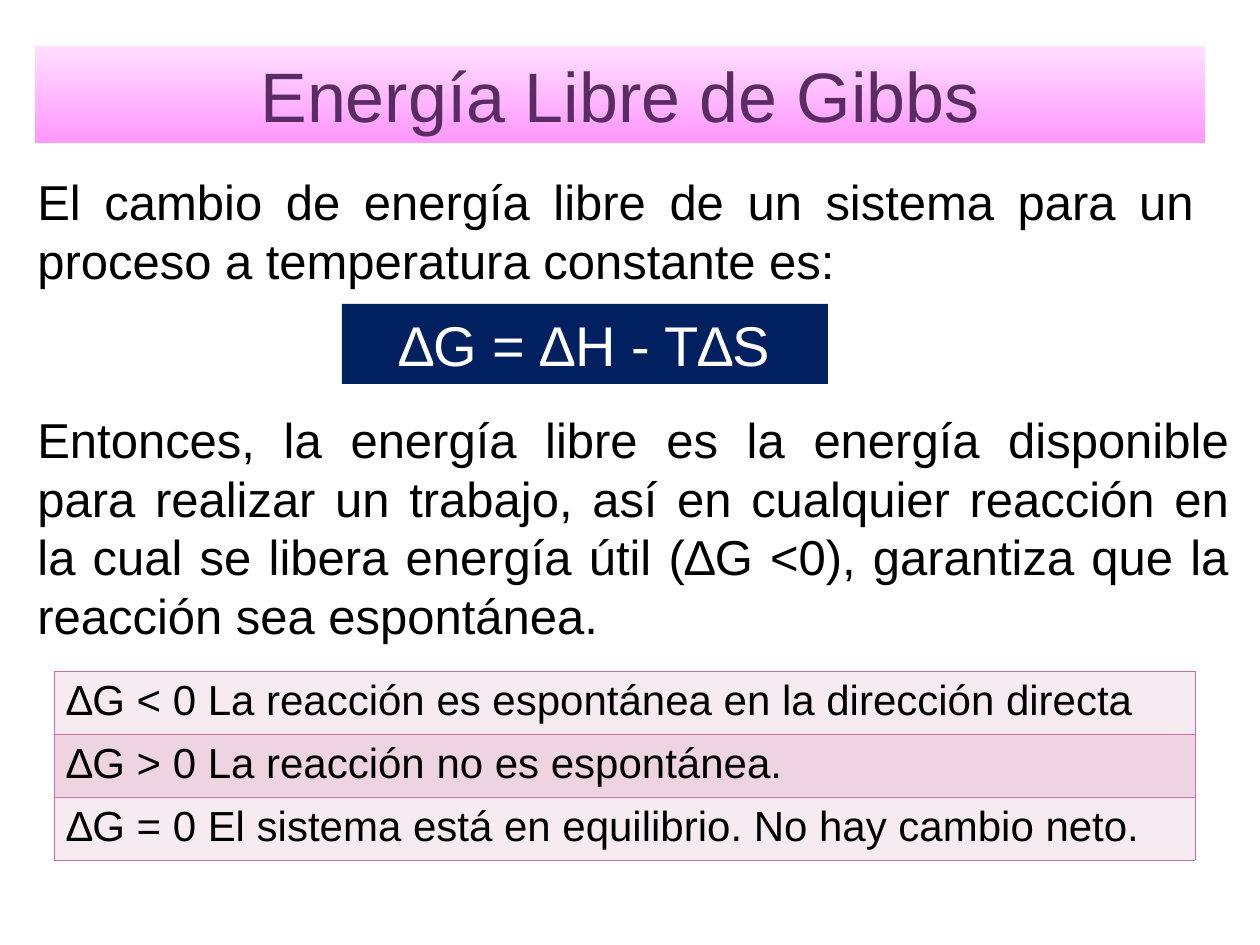
from lxml import etree
from pptx import Presentation, util as u
from pptx.dml.color import RGBColor
from pptx.enum import shapes, text
from pptx.oxml.ns import qn

SCALE = 914400 / 126  # EMU in one px
FONT = "Arial"
LEFT, MID, JUST = text.PP_ALIGN.LEFT, text.PP_ALIGN.CENTER, text.PP_ALIGN.JUSTIFY


def px(n):
    return u.Emu(round(n * SCALE))


def rgb(code):
    return RGBColor.from_string(code)


def write(frame, words, size=28, color="000000", align=LEFT):
    frame.word_wrap = True
    para = frame.paragraphs[0]
    para.alignment = align
    run = para.add_run()
    run.text = words
    run.font.size = u.Pt(size)
    run.font.name = FONT
    run.font.color.rgb = rgb(color)


def inset(frame):
    frame.auto_size = text.MSO_AUTO_SIZE.NONE
    frame.margin_left = frame.margin_right = u.Inches(0.1)
    frame.margin_top = frame.margin_bottom = u.Inches(0.05)


def title(slide, box, words):
    head = slide.shapes.title
    head.left, head.top, head.width, head.height = map(px, box)
    # Gradient runs from the bottom edge up
    head.fill.gradient()
    head.fill.gradient_angle = 90
    for stop, pos, code in zip(head.fill.gradient_stops, (0, 1), ("FF97FF", "FFDFFF")):
        stop.position = pos
        stop.color.rgb = rgb(code)
    inset(head.text_frame)
    head.text_frame.vertical_anchor = text.MSO_ANCHOR.MIDDLE
    write(head.text_frame, words, size=40, color="5A2C64", align=MID)


def prose(slide, box, words):
    frame = slide.shapes.add_textbox(*map(px, box)).text_frame
    inset(frame)
    write(frame, words, align=JUST)


def formula(slide, box, words):
    rect = slide.shapes.add_shape(shapes.MSO_SHAPE.RECTANGLE, *map(px, box))
    rect.shadow.inherit = False
    rect.fill.solid()
    rect.fill.fore_color.rgb = rgb("002060")
    rect.line.fill.background()
    inset(rect.text_frame)
    write(rect.text_frame, words, size=32, color="FFFFFF", align=MID)


def border(cell, code, width):
    props = cell._tc.get_or_add_tcPr()
    for spot, side in enumerate(("a:lnL", "a:lnR", "a:lnT", "a:lnB")):
        line = etree.Element(qn(side), w=str(u.Pt(width)))
        fill = etree.SubElement(line, qn("a:solidFill"))
        etree.SubElement(fill, qn("a:srgbClr"), val=code)
        props.insert(spot, line)


def cases(slide, box, rows):
    grid = slide.shapes.add_table(len(rows), 1, *map(px, box)).table
    grid.first_row = False
    for i, words in enumerate(rows):
        grid.rows[i].height = px(box[3] / len(rows))
        cell = grid.cell(i, 0)
        cell.fill.solid()
        cell.fill.fore_color.rgb = rgb(("F6EBF0", "EDD4E0")[i % 2])
        border(cell, "CF6DA4", 0.45)
        write(cell.text_frame, words, size=24)


def main():
    deck = Presentation()
    deck.slide_width, deck.slide_height = px(1260), px(945)
    slide = deck.slides.add_slide(deck.slide_layouts[5])

    title(slide, (35, 46, 1170, 97), "Energía Libre de Gibbs")
    prose(slide, (25, 165, 1181, 131),
          "El cambio de energía libre de un sistema para un proceso "
          "a temperatura constante es:")
    formula(slide, (342, 304, 486, 80), "∆G = ∆H - T∆S")
    prose(slide, (25, 403, 1216, 248),
          "Entonces, la energía libre es la energía disponible para realizar "
          "un trabajo, así en cualquier reacción en la cual se libera energía "
          "útil (∆G <0), garantiza que la reacción sea espontánea.")
    cases(slide, (54, 671, 1141, 189), (
        "∆G < 0 La reacción es espontánea en la dirección directa",
        "∆G > 0 La reacción no es espontánea.",
        "∆G = 0 El sistema está en equilibrio. No hay cambio neto.",
    ))
    deck.save("out.pptx")


if __name__ == "__main__":
    main()
